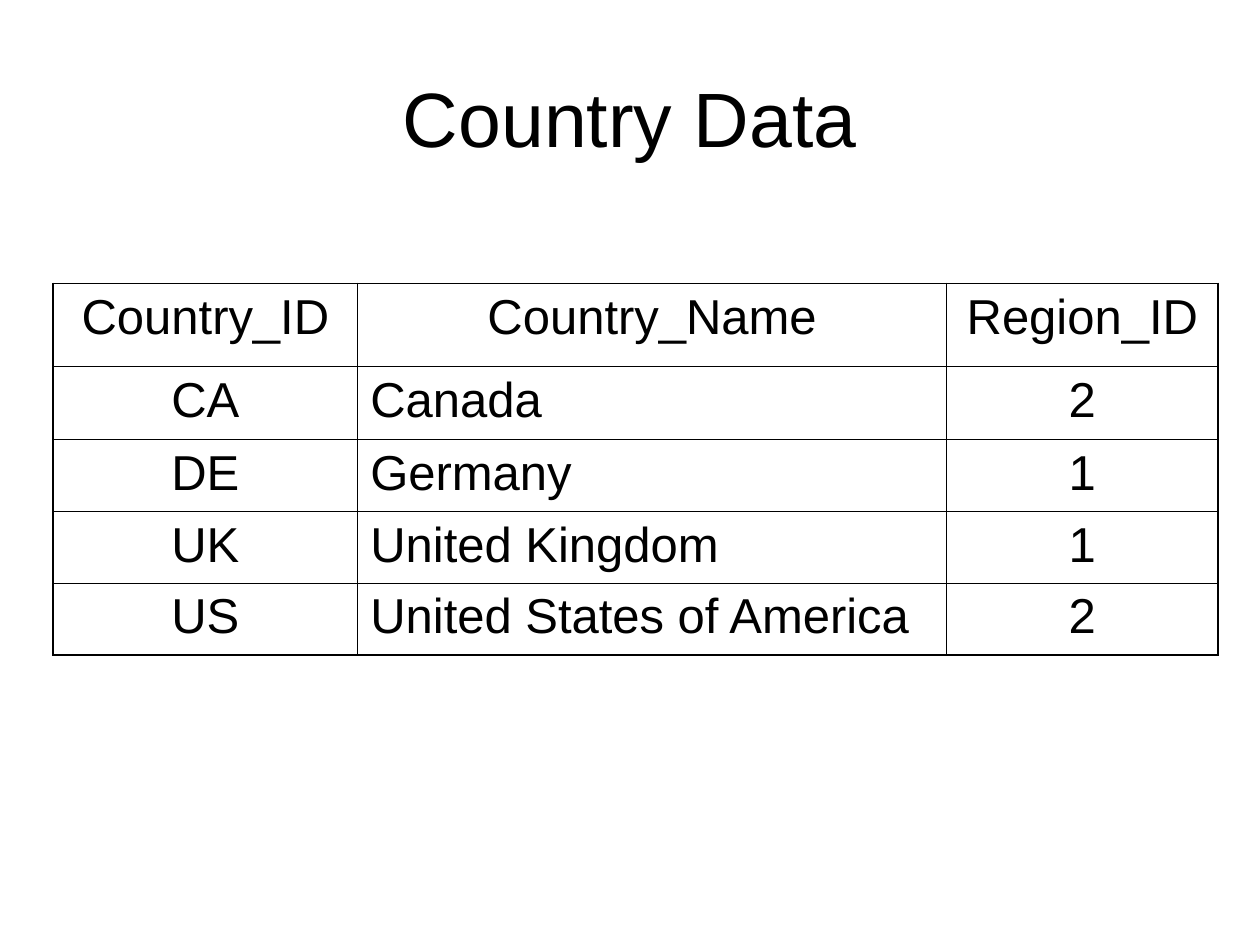
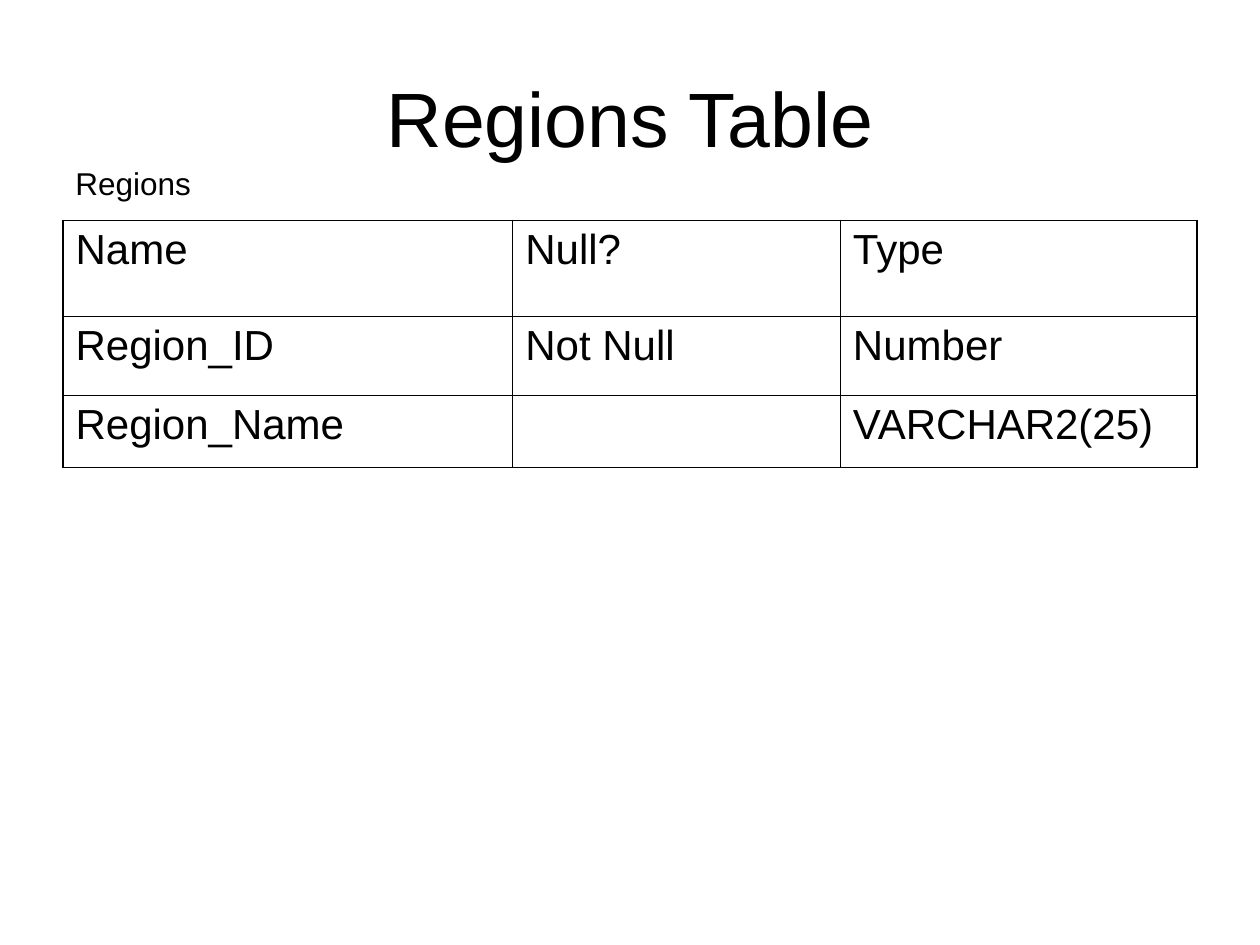
from lxml.etree import SubElement
from pptx import Presentation
from pptx.dml.color import RGBColor
from pptx.enum.text import MSO_ANCHOR, PP_ALIGN
from pptx.oxml.ns import qn
from pptx.util import Emu, Pt

PX = 9144  # 100 px to the inch
BLACK = RGBColor(0x00, 0x00, 0x00)
FONT = "Arial"
TITLE_BOX = (50, 30, 900, 125)
OUTER, INNER = Pt(1.08), Pt(0.45)
LEFT, CENTER = PP_ALIGN.LEFT, PP_ALIGN.CENTER

COUNTRIES = [
    ("Country_ID", "Country_Name", "Region_ID"),
    ("CA", "Canada", "2"),
    ("DE", "Germany", "1"),
    ("UK", "United Kingdom", "1"),
    ("US", "United States of America", "2"),
]
REGION_COLUMNS = [
    ("Name", "Null?", "Type"),
    ("Region_ID", "Not Null", "Number"),
    ("Region_Name", "", "VARCHAR2(25)"),
]


def px(*lengths):
    return [Emu(n * PX) for n in lengths]


def write(tf, text, size, align=LEFT):
    p = tf.paragraphs[0]
    p.text = text
    p.alignment = align
    p.font.name = FONT
    p.font.size = Pt(size)
    p.font.color.rgb = BLACK


def add_titled_slide(prs, title):
    s = prs.slides.add_slide(prs.slide_layouts[5])
    sp = s.shapes.title
    sp.left, sp.top, sp.width, sp.height = px(*TITLE_BOX)
    sp.text_frame.vertical_anchor = MSO_ANCHOR.MIDDLE
    write(sp.text_frame, title, 44, CENTER)
    return s


def set_borders(cell, widths):
    # Border lines come before the fill in the cell properties
    tcPr = cell._tc.get_or_add_tcPr()
    for i, (side, width) in enumerate(widths.items()):
        ln = SubElement(tcPr, qn(f"a:ln{side}"), w=str(width))
        fill = SubElement(ln, qn("a:solidFill"))
        SubElement(fill, qn("a:srgbClr"), val=str(BLACK))
        tcPr.insert(i, ln)


def add_grid(s, left, top, col_widths, row_heights, rows, size, align_of):
    """Plain table with a heavier outer frame; align_of(row, column) aligns."""
    box = px(left, top, sum(col_widths), sum(row_heights))
    table = s.shapes.add_table(len(rows), len(col_widths), *box).table
    table.first_row = table.horz_banding = False
    for column, width in zip(table.columns, px(*col_widths)):
        column.width = width
    for row, height in zip(table.rows, px(*row_heights)):
        row.height = height

    last_row, last_col = len(rows) - 1, len(col_widths) - 1
    for r, texts in enumerate(rows):
        for c, text in enumerate(texts):
            cell = table.cell(r, c)
            cell.fill.background()
            write(cell.text_frame, text, size, align_of(r, c))
            on_edge = {"L": c == 0, "R": c == last_col,
                       "T": r == 0, "B": r == last_row}
            set_borders(cell, {side: OUTER if edge else INNER
                               for side, edge in on_edge.items()})


def add_caption(s, left, top, width, height, text):
    tf = s.shapes.add_textbox(*px(left, top, width, height)).text_frame
    tf.word_wrap = True
    write(tf, text, 18)


def country_data(prs):
    s = add_titled_slide(prs, "Country Data")
    # Only the country names below the header are left aligned
    add_grid(s, 42, 225, (242, 467, 216), (66, 58, 57, 57, 57), COUNTRIES, 28,
             lambda r, c: LEFT if r > 0 and c == 1 else CENTER)


def regions_table(prs):
    s = add_titled_slide(prs, "Regions Table")
    add_grid(s, 50, 175, (357, 260, 283), (76, 63, 57), REGION_COLUMNS, 24,
             lambda r, c: LEFT)
    add_caption(s, 50, 125, 120, 40, "Regions")


def main():
    prs = Presentation()
    prs.slide_width, prs.slide_height = px(1000, 750)
    country_data(prs)
    regions_table(prs)
    prs.save("out.pptx")


if __name__ == "__main__":
    main()
